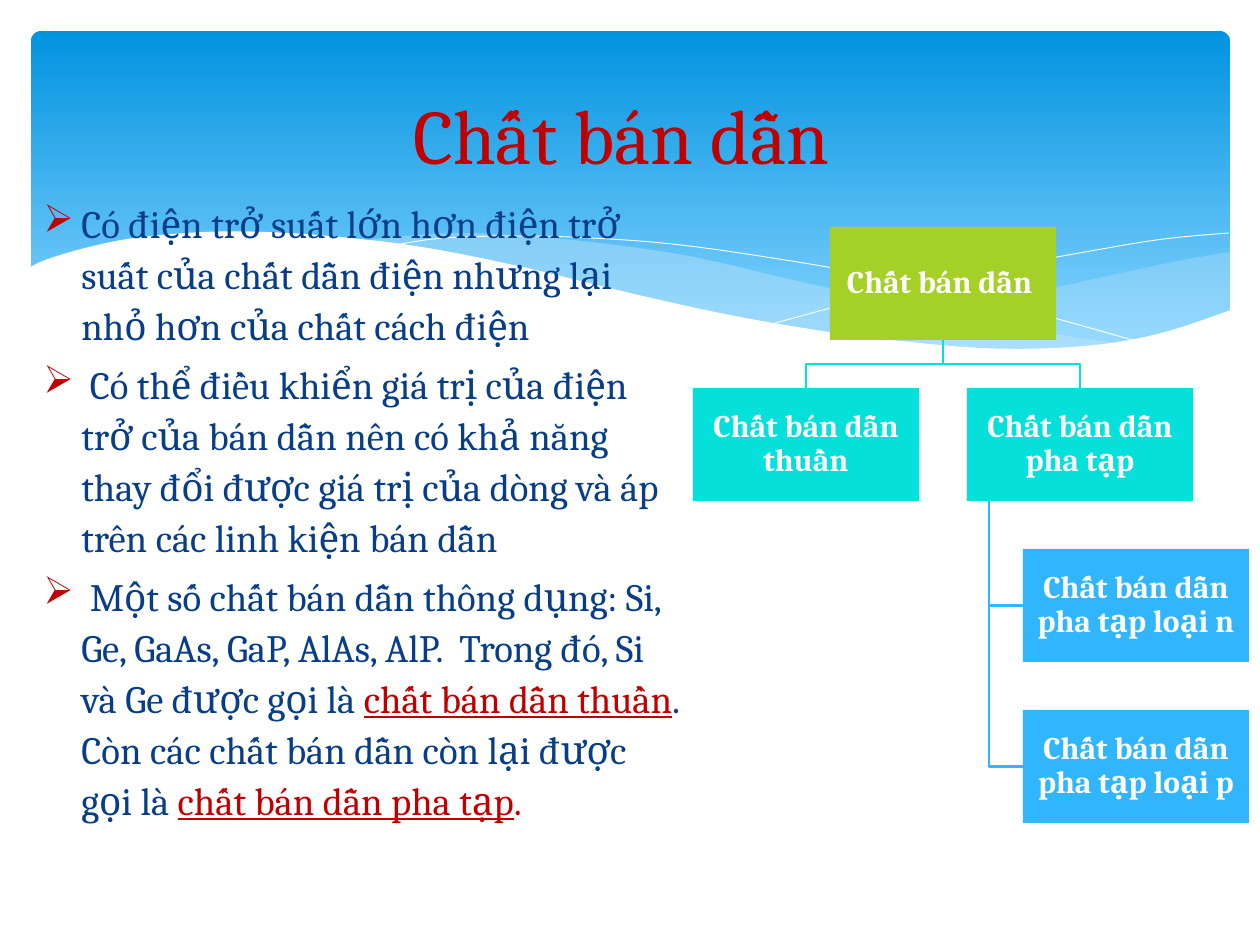
from lxml import etree
from pptx import Presentation
from pptx import util as u
from pptx.dml.color import RGBColor
from pptx.enum import shapes, text
from pptx.oxml.ns import qn

PX = 914400 / 126
FONT = "Cambria"
COLORS = {
    "sky_top": "0293E0", "sky_bottom": "83D3FE", "mist": "C6E7FC",
    "white": "FFFFFF", "red": "C00000", "navy": "073E87",
    "green": "A5D028", "teal": "05E0DB", "blue": "31B6FD",
}

# Knots of the wave curves, in px
WHITE_WAVE = [(29, 268), (45, 260), (85, 248), (134, 238), (203, 232), (266, 232),
              (341, 237), (428, 248), (527, 268), (634, 294), (730, 315), (816, 330),
              (892, 340), (980, 348), (1055, 348), (1118, 342), (1172, 330), (1231, 310)]
RIGHT_BAND = ([(1230, 252), (1178, 261), (1085, 281), (982, 305), (890, 324), (833, 334)],
              [(833, 334), (906, 343), (969, 348), (1026, 350), (1087, 347), (1140, 339),
               (1187, 326), (1230, 311)])
LONG_BAND = ([(1125, 344), (1055, 334), (934, 311), (793, 280), (699, 258), (616, 245),
              (529, 236), (455, 233), (394, 237), (360, 241)],
             [(360, 241), (456, 256), (566, 280), (668, 302), (779, 325), (876, 340),
              (959, 348), (1031, 350), (1104, 347), (1125, 344)])
FALLING_LINE = [(389, 246), (444, 238), (524, 236), (591, 238), (672, 244), (766, 257),
                (876, 276), (1002, 304), (1143, 343)]
RISING_LINE = [(772, 324), (876, 296), (978, 272), (1091, 251), (1164, 239), (1229, 233)]

# Each paragraph is a list of (wording, colour, underlined)
POINTS = [
    [("Có điện trở suất lớn hơn điện trở suất của chất dẫn điện nhưng lại nhỏ hơn "
      "của chất cách điện", "navy", False)],
    [(" Có thể điều khiển giá trị của điện trở của bán dẫn nên có khả năng thay đổi "
      "được giá trị của dòng và áp trên các linh kiện bán dẫn", "navy", False)],
    [(" Một số chất bán dẫn thông dụng: Si, Ge, GaAs, GaP, AlAs, AlP.  Trong đó, Si "
      "và Ge được gọi là ", "navy", False),
     ("chất bán dẫn thuần", "red", True),
     (". Còn các chất bán dẫn còn lại được gọi là ", "navy", False),
     ("chất bán dẫn pha tạp", "red", True),
     (".", "red", False)],
]

NODE_W, NODE_H, GAP = 226, 113, 48


def px(value):
    return u.Emu(round(value * PX))


def rgb(name):
    return RGBColor.from_string(COLORS[name])


def smooth(knots, steps=4):
    """Points of a Catmull-Rom curve through the knots."""
    padded = [knots[0], *knots, knots[-1]]
    curve = []
    for a, b, c, d in zip(padded, padded[1:], padded[2:], padded[3:]):
        for t in (step / steps for step in range(steps)):
            curve.append(tuple(
                (2 * q + (r - p) * t + (2 * p - 5 * q + 4 * r - s) * t ** 2
                 + (3 * q - p - 3 * r + s) * t ** 3) / 2
                for p, q, r, s in zip(a, b, c, d)))
    return curve + [knots[-1]]


def add_outline(slide, points, close):
    first, *rest = [(px(x), px(y)) for x, y in points]
    builder = slide.shapes.build_freeform(*first)
    builder.add_line_segments(rest, close=close)
    outline = builder.convert_to_shape()
    outline.shadow.inherit = False
    return outline


def add_area(slide, points, color, opacity=100):
    area = add_outline(slide, points, True)
    area.fill.solid()
    area.fill.fore_color.rgb = rgb(color)
    area.line.fill.background()
    if opacity < 100:
        tint = area.fill._xPr.find(".//" + qn("a:srgbClr"))
        etree.SubElement(tint, qn("a:alpha"), val=str(opacity * 1000))


def add_path(slide, points, color, width):
    path_line = add_outline(slide, points, False)
    path_line.fill.background()
    path_line.line.color.rgb = rgb(color)
    path_line.line.width = u.Pt(width)


def add_sky(slide):
    sky = slide.shapes.add_shape(shapes.MSO_SHAPE.ROUNDED_RECTANGLE,
                                 px(31), px(31), px(1199), px(340))
    sky.adjustments[0] = 0.03
    sky.shadow.inherit = False
    sky.line.fill.background()
    sky.fill.gradient()
    sky.fill.gradient_angle = 270
    for stop, position, color in zip(sky.fill.gradient_stops, (0, 0.9),
                                     ("sky_top", "sky_bottom")):
        stop.position = position
        stop.color.rgb = rgb(color)


def add_waves(slide):
    for (upper, lower), opacity in ((RIGHT_BAND, 29), (LONG_BAND, 40)):
        add_area(slide, smooth(upper) + smooth(lower)[1:], "mist", opacity)
    for knots in (FALLING_LINE, RISING_LINE):
        add_path(slide, smooth(knots), "white", 0.5)
    add_area(slide, smooth(WHITE_WAVE) + [(1231, 415), (29, 415)], "white")


def style_font(font, size, color, bold=False):
    font.name = FONT
    font.size = u.Pt(size)
    font.bold = bold
    font.color.rgb = rgb(color)


def add_title(slide):
    box = slide.shapes.add_textbox(px(63), px(47), px(1134), px(173))
    frame = box.text_frame
    frame.word_wrap = True
    frame.vertical_anchor = text.MSO_ANCHOR.MIDDLE
    title = frame.paragraphs[0]
    title.text = "Chất bán dẫn "
    title.alignment = text.PP_ALIGN.CENTER
    style_font(title.font, 44, "red")


def add_bullet(paragraph):
    properties = paragraph._p.get_or_add_pPr()
    properties.set("marL", str(px(38)))
    properties.set("indent", str(-px(38)))
    bullet_color = etree.SubElement(properties, qn("a:buClr"))
    etree.SubElement(bullet_color, qn("a:srgbClr"), val=COLORS["red"])
    etree.SubElement(properties, qn("a:buChar"), char="➢")


def add_points(slide):
    box = slide.shapes.add_textbox(px(31), px(189), px(662), px(697))
    frame = box.text_frame
    frame.word_wrap = True
    for index, pieces in enumerate(POINTS):
        point = frame.add_paragraph() if index else frame.paragraphs[0]
        add_bullet(point)
        point.line_spacing = 1.1
        point.space_before = u.Pt(4.4 if index else 0)
        style_font(point.font, 22.1, "navy")
        for wording, color, underlined in pieces:
            run = point.add_run()
            run.text = wording
            run.font.color.rgb = rgb(color)
            run.font.underline = underlined


def add_node(slide, left, top, label, color):
    node = slide.shapes.add_shape(shapes.MSO_SHAPE.RECTANGLE,
                                  px(left), px(top), px(NODE_W), px(NODE_H))
    node.shadow.inherit = False
    node.fill.solid()
    node.fill.fore_color.rgb = rgb(color)
    node.line.fill.background()
    frame = node.text_frame
    frame.word_wrap = True
    frame.vertical_anchor = text.MSO_ANCHOR.MIDDLE
    frame.margin_left = frame.margin_right = px(1)
    frame.margin_top = frame.margin_bottom = px(1)
    caption = frame.paragraphs[0]
    caption.text = label
    caption.alignment = text.PP_ALIGN.CENTER
    caption.line_spacing = 0.9
    style_font(caption.font, 18, "white", bold=True)


def add_hierarchy(slide):
    rows = [227 + row * (NODE_H + GAP) for row in range(4)]
    pure = 693
    doped = pure + NODE_W + GAP
    root = (pure + doped) // 2
    doped_type = doped + NODE_W // 4
    trunk = doped + NODE_W // 10

    for top in reversed(rows[2:]):
        middle = top + NODE_H / 2
        add_path(slide, [(trunk, rows[1] + NODE_H), (trunk, middle), (doped_type, middle)],
                 "blue", 1.25)
    root_x, root_bottom = root + NODE_W / 2, rows[0] + NODE_H
    fork = root_bottom + GAP / 2
    for child in (doped, pure):
        child_x = child + NODE_W / 2
        add_path(slide, [(root_x, root_bottom), (root_x, fork), (child_x, fork),
                         (child_x, rows[1])], "teal", 1.25)

    add_node(slide, root, rows[0], "Chất bán dẫn ", "green")
    add_node(slide, pure, rows[1], "Chất bán dẫn thuần", "teal")
    add_node(slide, doped, rows[1], "Chất bán dẫn pha tạp", "teal")
    for top, kind in zip(rows[2:], "np"):
        add_node(slide, doped_type, top, f"Chất bán dẫn pha tạp loại {kind}", "blue")


def main():
    deck = Presentation()
    deck.slide_width, deck.slide_height = px(1260), px(945)
    slide = deck.slides.add_slide(deck.slide_layouts[6])
    add_sky(slide)
    add_waves(slide)
    add_points(slide)
    add_title(slide)
    add_hierarchy(slide)
    deck.save("out.pptx")


if __name__ == "__main__":
    main()
